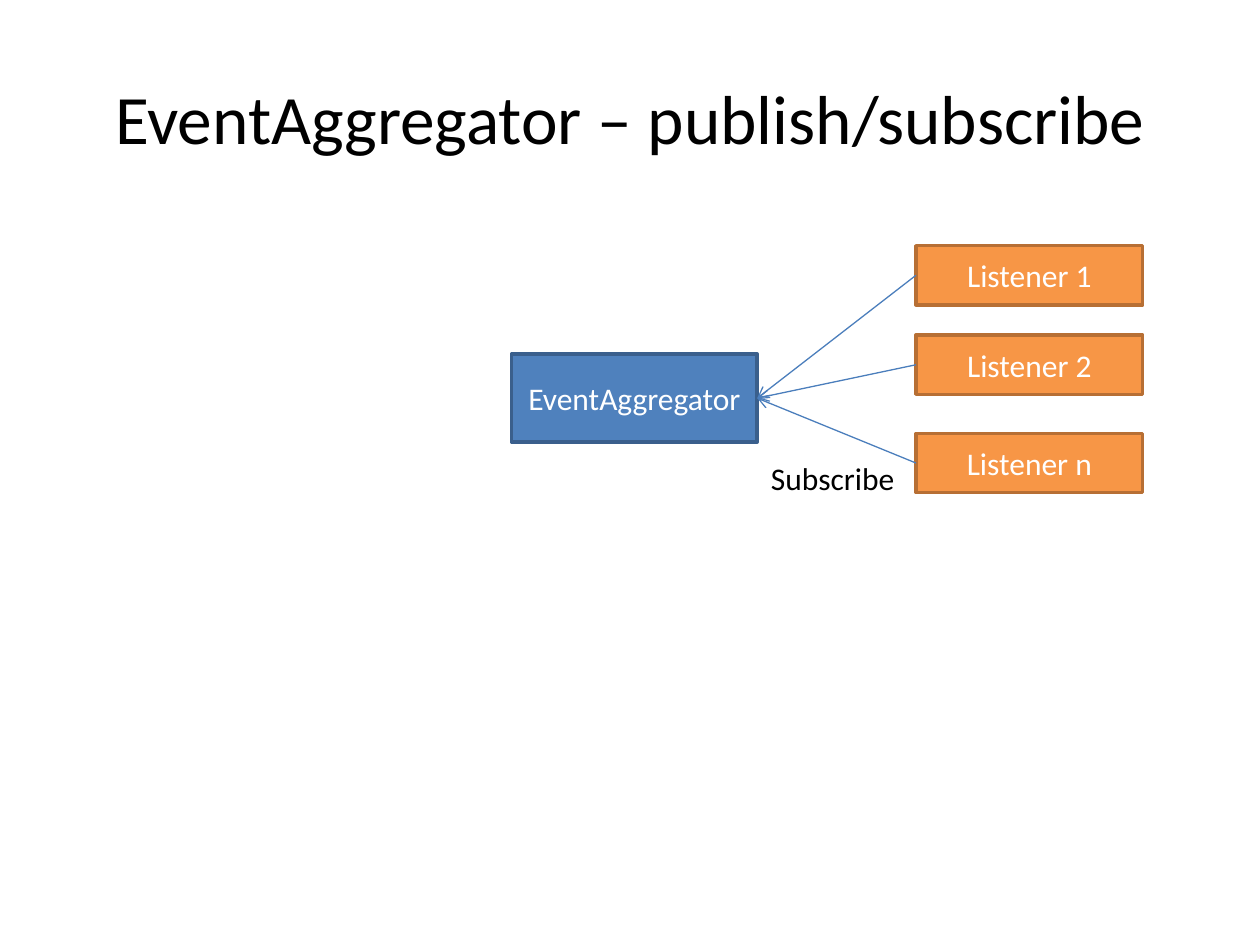
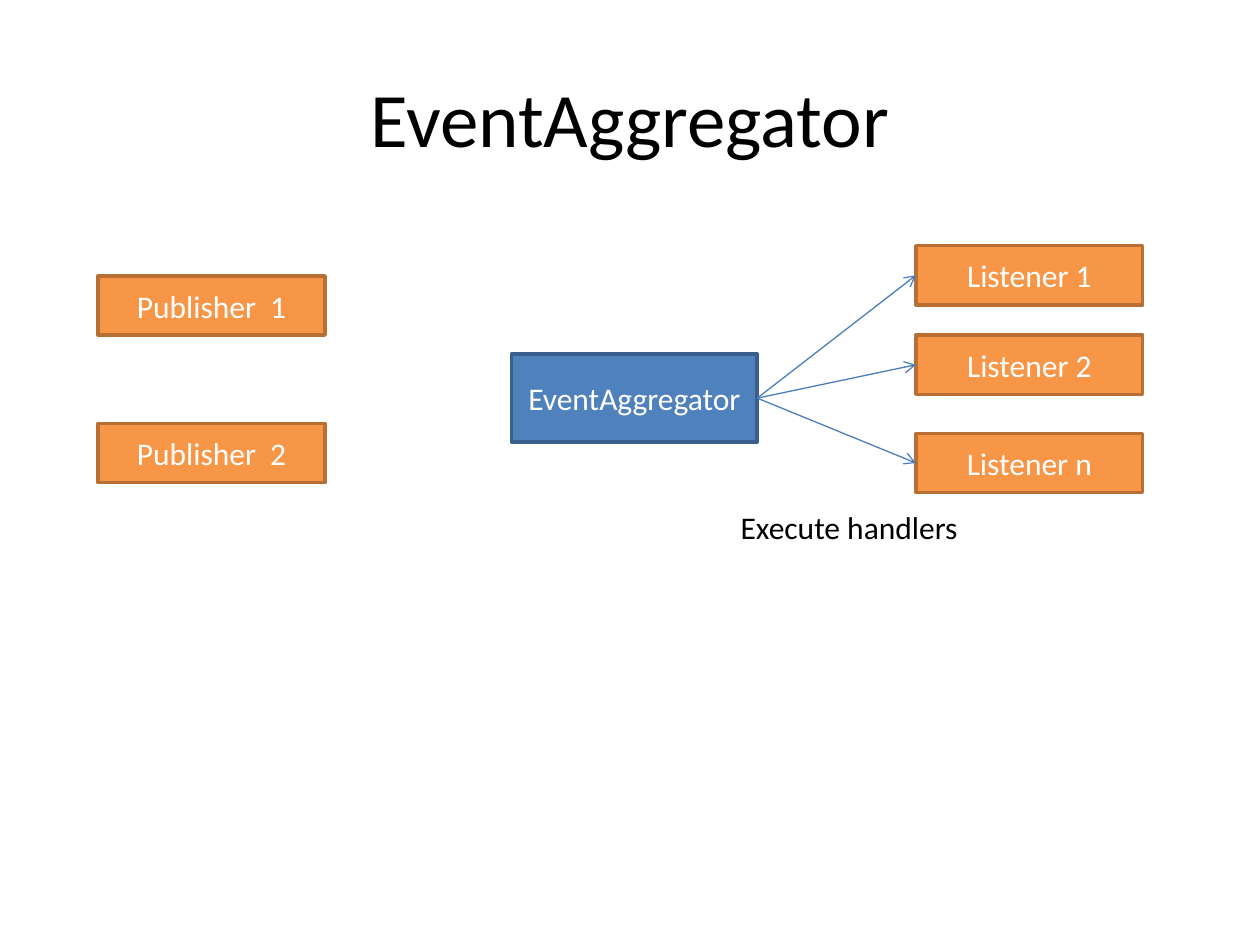
from dataclasses import dataclass

from pptx import Presentation
from pptx.dml.color import RGBColor
from pptx.enum.shapes import MSO_CONNECTOR, MSO_SHAPE
from pptx.enum.text import MSO_ANCHOR, MSO_AUTO_SIZE, PP_ALIGN
from pptx.oxml.ns import qn
from pptx.util import Inches, Pt
from lxml import etree

RECT = MSO_SHAPE.RECTANGLE
LINE = MSO_CONNECTOR.STRAIGHT
MIDDLE = MSO_ANCHOR.MIDDLE
CENTER, LEFT = PP_ALIGN.CENTER, PP_ALIGN.LEFT
FIXED, GROW = MSO_AUTO_SIZE.NONE, MSO_AUTO_SIZE.SHAPE_TO_FIT_TEXT
LEFT_SITE, RIGHT_SITE = 1, 3  # connection sites of a rectangle
TITLE_ONLY = 5


@dataclass(frozen=True)
class Theme:
    font: str = "Calibri"
    ink: str = "000000"
    paper: str = "FFFFFF"
    blue: tuple = ("4F81BD", "3A5F8C")  # fill, edge
    orange: tuple = ("F79646", "B76F34")
    arrow: str = "4B7EBC"
    title: float = 44
    body: float = 18
    edge: float = 2
    thin: float = 0.75


THEME = Theme()

# Regions: left, top, width, height in inches
HEAD = (0.5, 0.3, 9, 1.25)
HUB = (4.06, 2.81, 1.95, 0.7)
RIGHT = (7.27, 1.95, 1.8, 1.96)
SOURCE = (0.78, 2.19, 1.8, 1.64)
NODE_H = 0.47
LISTEN = {"Listener 1": 0, "Listener 2": 0.71, "Listener n": 1.49}
PUBLISH = {"Publisher  1": 0, "Publisher  2": 1.17}


def color(code):
    return RGBColor.from_string(code)


def place(shape, box):
    shape.left, shape.top, shape.width, shape.height = map(Inches, box)


def write(shape, text, size, ink, align=CENTER):
    frame = shape.text_frame
    frame.text = text
    for para in frame.paragraphs:
        para.alignment = align
        for run in para.runs:
            run.font.name = THEME.font
            run.font.size = Pt(size)
            run.font.color.rgb = color(ink)


def add_node(slide, box, text, tones):
    """A bordered box with centred white text."""
    node = slide.shapes.add_shape(RECT, *map(Inches, box))
    node.shadow.inherit = False
    fill, edge = tones
    node.fill.solid()
    node.fill.fore_color.rgb = color(fill)
    node.line.color.rgb = color(edge)
    node.line.width = Pt(THEME.edge)
    node.text_frame.vertical_anchor = MIDDLE
    write(node, text, THEME.body, THEME.paper)
    return node


def add_stack(slide, box, items):
    """Orange nodes at offsets from the top of the box."""
    left, top, width, _ = box
    return [add_node(slide, (left, top + drop, width, NODE_H), text, THEME.orange)
            for text, drop in items.items()]


def add_arrow(slide, start, end):
    """An arrow glued to (shape, site) at both ends."""
    arrow = slide.shapes.add_connector(LINE, 0, 0, 0, 0)
    arrow.begin_connect(*start)
    arrow.end_connect(*end)
    arrow.line.color.rgb = color(THEME.arrow)
    arrow.line.width = Pt(THEME.thin)
    props = arrow.element.spPr
    etree.SubElement(props.find(qn("a:ln")), qn("a:tailEnd"), type="arrow")
    etree.SubElement(props, qn("a:effectLst"))


def add_label(slide, box, text):
    label = slide.shapes.add_textbox(*map(Inches, box))
    write(label, text, THEME.body, THEME.ink, LEFT)
    label.text_frame.word_wrap = False
    label.text_frame.auto_size = GROW


def add_title(slide, box, text, size):
    title = slide.shapes.title
    place(title, box)
    write(title, text, size, THEME.ink)
    title.text_frame.vertical_anchor = MIDDLE
    title.text_frame.auto_size = FIXED


def add_flow(deck, title, size, label, spot, inward, sources=None):
    """A slide with the aggregator, its listeners and any publishers."""
    slide = deck.slides.add_slide(deck.slide_layouts[TITLE_ONLY])
    add_title(slide, HEAD, title, size)
    hub = add_node(slide, HUB, "EventAggregator", THEME.blue)
    nodes = add_stack(slide, RIGHT, LISTEN)
    add_stack(slide, SOURCE, sources or {})

    # Arrows between the hub and each listener
    for node in nodes:
        ends = [(hub, RIGHT_SITE), (node, LEFT_SITE)]
        add_arrow(slide, *(reversed(ends) if inward else ends))
    add_label(slide, spot, label)


deck = Presentation()
deck.slide_width, deck.slide_height = Inches(10), Inches(7.5)

add_flow(deck, "EventAggregator – publish/subscribe", THEME.title * 0.9,
         "Subscribe", (6.02, 3.59, 1.19, 0.4), inward=True)
add_flow(deck, "EventAggregator", THEME.title,
         "Execute handlers", (5.78, 3.98, 1.94, 0.4), inward=False, sources=PUBLISH)

deck.save("out.pptx")
